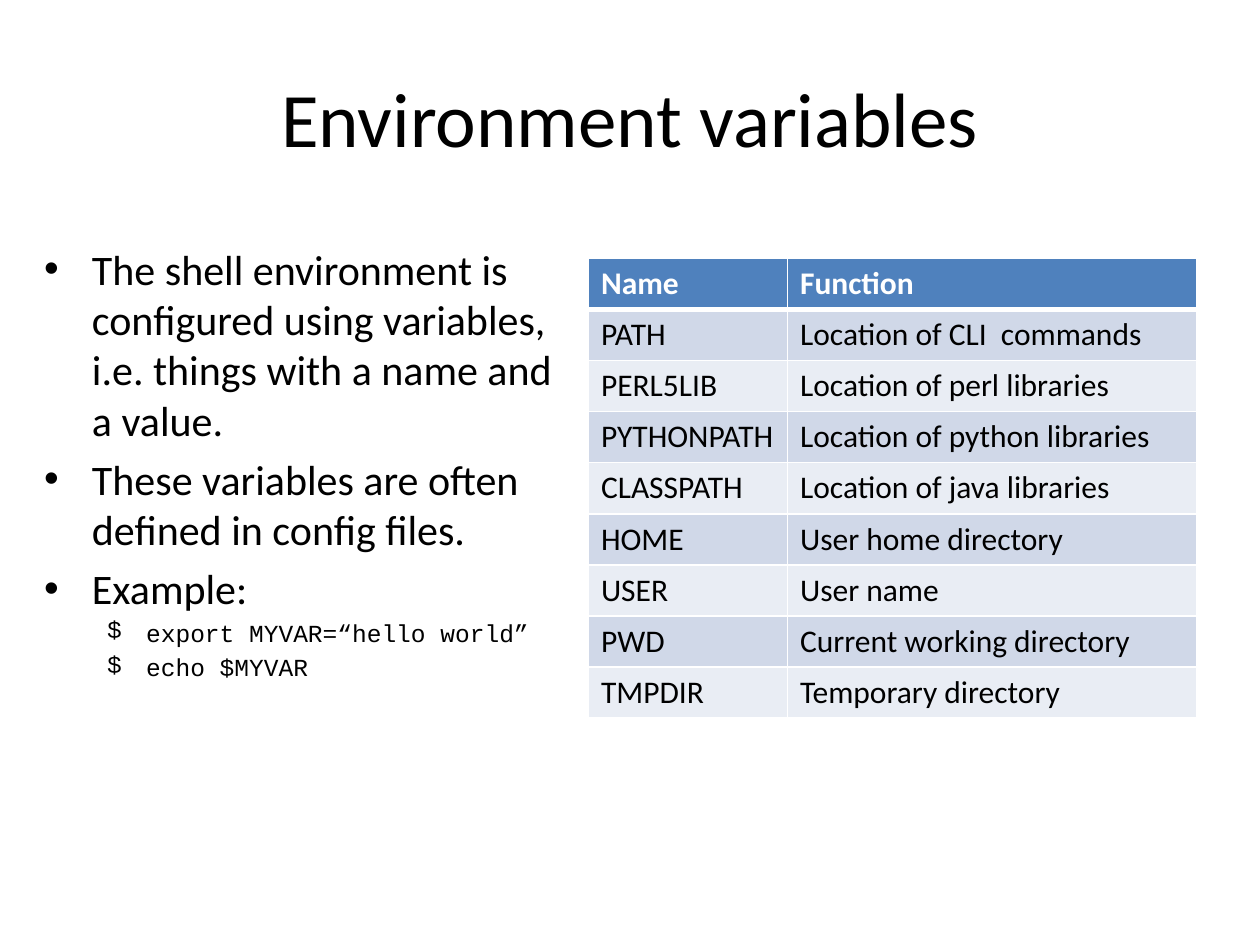
import pptx
import pptx.dml.color
import pptx.enum.text
import pptx.oxml.ns
import pptx.util
from lxml import etree

Inches = pptx.util.Inches
COLORS = {"text": "000000", "paper": "FFFFFF", "header": "4F81BD",
          "odd": "D0D8E8", "even": "E9EDF4"}
POINTS = [
    "The shell environment is configured using variables, "
    "i.e. things with a name and a value.",
    "These variables are often defined in config files.",
    "Example:",
]
COMMANDS = ["export MYVAR=“hello world”", "echo $MYVAR"]
VARIABLES = [
    ("Name", "Function"),
    ("PATH", "Location of CLI  commands"),
    ("PERL5LIB", "Location of perl libraries"),
    ("PYTHONPATH", "Location of python libraries"),
    ("CLASSPATH", "Location of java libraries"),
    ("HOME", "User home directory"),
    ("USER", "User name"),
    ("PWD", "Current working directory"),
    ("TMPDIR", "Temporary directory"),
]


def rgb(name):
    """Return the named colour."""
    return pptx.dml.color.RGBColor.from_string(COLORS[name])


def write(paragraph, text, size=18, font="Calibri", color="text", bold=False):
    """Add formatted text to a paragraph."""
    run = paragraph.add_run()
    run.text = text
    run.font.size = pptx.util.Pt(size)
    run.font.name = font
    run.font.bold = bold
    run.font.color.rgb = rgb(color)


def add_bullet(paragraph, char, font, left, hanging):
    """Give a paragraph a bullet and a hanging indent."""
    properties = paragraph._p.get_or_add_pPr()
    properties.set("marL", str(Inches(left)))
    properties.set("indent", str(-Inches(hanging)))
    for tag, key, value in (("a:buFont", "typeface", font),
                            ("a:buChar", "char", char)):
        etree.SubElement(properties, pptx.oxml.ns.qn(tag)).set(key, value)


def add_borders(cell, top=1, bottom=1):
    """Draw white borders round a cell, with widths in points."""
    properties = cell._tc.get_or_add_tcPr()
    widths = {"a:lnL": 1, "a:lnR": 1, "a:lnT": top, "a:lnB": bottom}
    for position, (tag, width) in enumerate(widths.items()):
        line = etree.Element(pptx.oxml.ns.qn(tag), w=str(pptx.util.Pt(width)))
        fill = etree.SubElement(line, pptx.oxml.ns.qn("a:solidFill"))
        etree.SubElement(fill, pptx.oxml.ns.qn("a:srgbClr"), val=COLORS["paper"])
        properties.insert(position, line)


class SlideBuilder:
    """Holds the style and the current slide."""

    body_font = "Calibri"
    code_font = "Courier New"

    def __init__(self, deck):
        """Start a title and content slide."""
        self.slide = deck.slides.add_slide(deck.slide_layouts[1])

    def place(self, holder, left, top, width, height):
        """Move a placeholder and return its text frame."""
        holder.left, holder.top = Inches(left), Inches(top)
        holder.width, holder.height = Inches(width), Inches(height)
        return holder.text_frame

    def title(self, text, *box):
        """Write the centred title."""
        frame = self.place(self.slide.shapes.title, *box)
        frame.vertical_anchor = pptx.enum.text.MSO_ANCHOR.MIDDLE
        frame.paragraphs[0].alignment = pptx.enum.text.PP_ALIGN.CENTER
        write(frame.paragraphs[0], text, size=44, font=self.body_font)

    def body(self, points, commands, *box):
        """Write the points, then the commands one level deeper."""
        frame = self.place(self.slide.placeholders[1], *box)
        frame.auto_size = pptx.enum.text.MSO_AUTO_SIZE.NONE
        for number, text in enumerate(points + commands):
            paragraph = frame.add_paragraph() if number else frame.paragraphs[0]
            if number < len(points):
                add_bullet(paragraph, "•", "Arial", 0.38, 0.38)
                write(paragraph, text, size=24, font=self.body_font)
            else:
                paragraph.level = 1
                add_bullet(paragraph, "$", self.code_font, 0.81, 0.31)
                write(paragraph, text, size=14, font=self.code_font)

    def table(self, rows, left, top, widths, height):
        """Draw a table with a header and banded rows."""
        grid = self.slide.shapes.add_table(
            len(rows), len(widths), Inches(left), Inches(top),
            Inches(sum(widths)), Inches(height)).table
        for column, width in zip(grid.columns, widths):
            column.width = Inches(width)
        for r, texts in enumerate(rows):
            header = r == 0
            band = "header" if header else "odd" if r % 2 else "even"
            for c, text in enumerate(texts):
                cell = grid.cell(r, c)
                cell.fill.solid()
                cell.fill.fore_color.rgb = rgb(band)
                add_borders(cell, top=3 if r == 1 else 1,
                            bottom=3 if header else 1)
                write(cell.text_frame.paragraphs[0], text, font=self.body_font,
                      color="paper" if header else "text", bold=header)


def main():
    """Build and save the slide."""
    deck = pptx.Presentation()
    deck.slide_width, deck.slide_height = Inches(10), Inches(7.5)
    builder = SlideBuilder(deck)
    builder.title("Environment variables", 0.5, 0.3, 9, 1.25)
    builder.body(POINTS, COMMANDS, 0.25, 1.88, 4.42, 4.95)
    builder.table(VARIABLES, 4.67, 2.05, (1.58, 3.25), 3.65)
    deck.save("out.pptx")


main()
